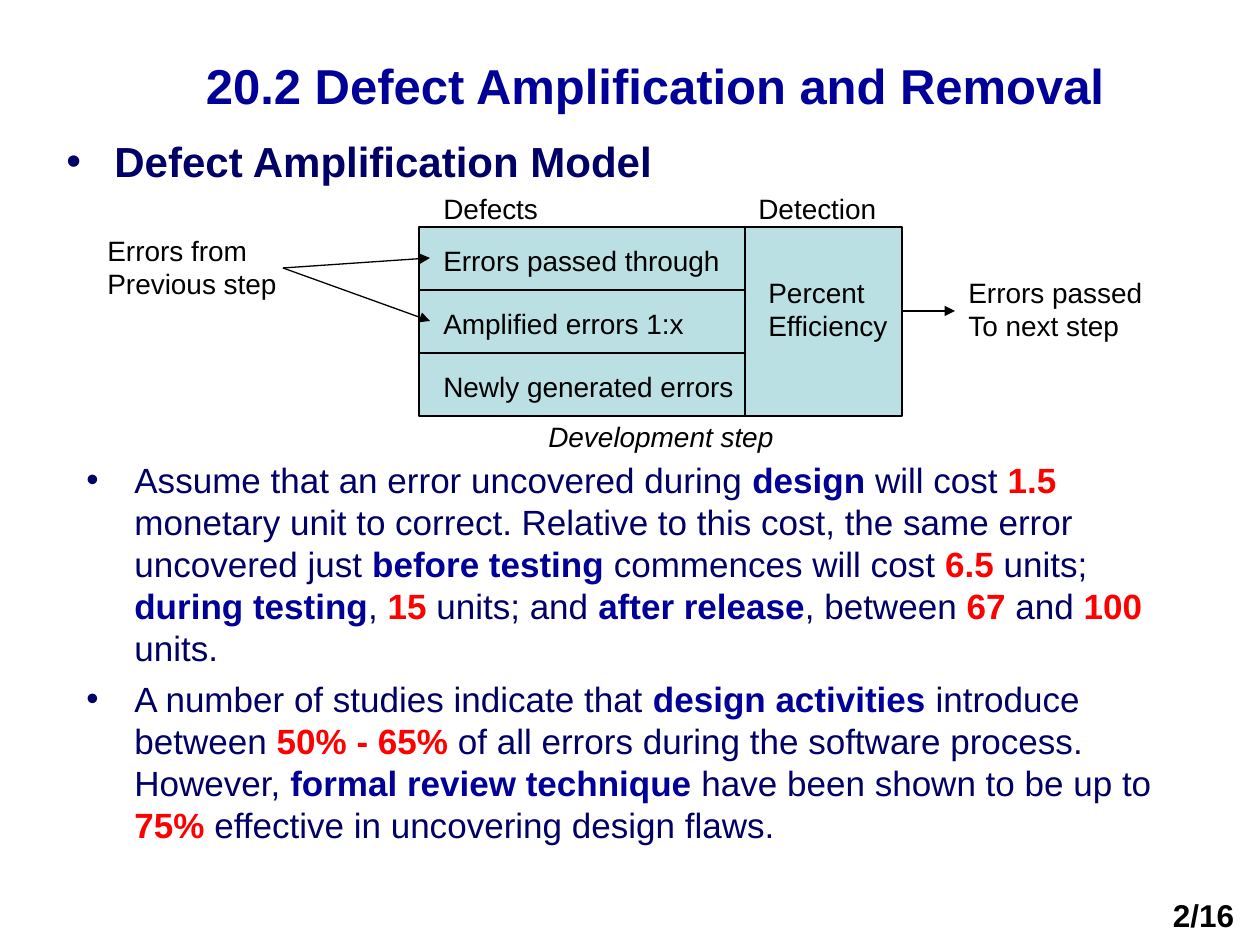
from lxml import etree
from pptx import Presentation
from pptx.dml.color import RGBColor
from pptx.enum.shapes import MSO_CONNECTOR, MSO_SHAPE
from pptx.enum.text import MSO_ANCHOR, MSO_AUTO_SIZE, PP_ALIGN
from pptx.oxml.ns import qn
from pptx.util import Emu, Pt

RECTANGLE = MSO_SHAPE.RECTANGLE
STRAIGHT = MSO_CONNECTOR.STRAIGHT
LEFT, CENTER = PP_ALIGN.LEFT, PP_ALIGN.CENTER
TOP, MIDDLE = MSO_ANCHOR.TOP, MSO_ANCHOR.MIDDLE
FIT_SHAPE, FIXED = MSO_AUTO_SIZE.SHAPE_TO_FIT_TEXT, MSO_AUTO_SIZE.NONE
TITLE_ONLY = 5
SCALE = 914400 / 126
BLACK, NAVY, BLUE, RED, AQUA = "000000", "000066", "000099", "FF0000", "BBE0E3"


def px(length):
    return Emu(round(length * SCALE))


def color(value):
    return RGBColor.from_string(value)


def key(text):
    return text, BLUE, True


def figure(text):
    return text, RED, True


def add_bullet(para, ink):
    properties = para._p.get_or_add_pPr()
    properties.set("marL", str(px(48)))
    properties.set("indent", str(px(-48)))
    bullet_color = etree.SubElement(properties, qn("a:buClr"))
    etree.SubElement(bullet_color, qn("a:srgbClr"), val=ink)
    etree.SubElement(properties, qn("a:buFont"), typeface="Arial")
    etree.SubElement(properties, qn("a:buChar"), char="•")


def write(frame, paragraphs, size=16, ink=BLACK, bold=False, italic=False,
          align=LEFT, bullet=False, before=0, spacing=None):
    for index, spans in enumerate(paragraphs):
        para = frame.add_paragraph() if index else frame.paragraphs[0]
        para.alignment = align
        para.space_before = Pt(before)
        if spacing:
            para.line_spacing = spacing
        if bullet:
            add_bullet(para, ink)
        for part in [spans] if isinstance(spans, str) else spans:
            text, span_ink, span_bold = (part, ink, bold) if isinstance(part, str) else part
            span = para.add_run()
            span.text = text
            span.font.name = "Arial"
            span.font.size = Pt(size)
            span.font.bold = span_bold
            span.font.italic = italic
            span.font.color.rgb = color(span_ink)


class Page:
    line_width = Pt(0.75)
    line_color = BLACK

    def __init__(self, deck):
        self.slide = deck.slides.add_slide(deck.slide_layouts[TITLE_ONLY])
        self.shapes = self.slide.shapes

    def title(self, text, left, top, width, height, **style):
        box = self.shapes.title
        box.left, box.top, box.width, box.height = map(px, (left, top, width, height))
        box.text_frame.vertical_anchor = MIDDLE
        write(box.text_frame, [text], **style)

    def text(self, paragraphs, left, top, width, height, wrap=False, **style):
        box = self.shapes.add_textbox(*map(px, (left, top, width, height)))
        box.text_frame.word_wrap = wrap
        box.text_frame.auto_size = FIXED if wrap else FIT_SHAPE
        box.text_frame.vertical_anchor = TOP
        write(box.text_frame, paragraphs, **style)

    def rectangle(self, left, top, width, height, fill):
        box = self.shapes.add_shape(RECTANGLE, *map(px, (left, top, width, height)))
        box.shadow.inherit = False
        box.fill.solid()
        box.fill.fore_color.rgb = color(fill)
        box.line.color.rgb = color(self.line_color)
        box.line.width = self.line_width

    def line(self, start, end, arrow=False):
        connector = self.shapes.add_connector(STRAIGHT, *map(px, (*start, *end)))
        connector.line.color.rgb = color(self.line_color)
        connector.line.width = self.line_width
        etree.SubElement(connector._element.spPr, qn("a:effectLst"))
        if arrow:
            outline = connector.line._get_or_add_ln()
            etree.SubElement(outline, qn("a:tailEnd"), type="triangle")


def draw_model(page):
    left, top, width, row = 419, 227, 483, 63
    right, divider, bottom = left + width, 745, top + 3 * row
    page.rectangle(left, top, width, 3 * row, AQUA)
    rows = [("Errors passed through", 302), ("Amplified errors 1:x", 266),
            ("Newly generated errors", 316)]
    for index, (label, label_width) in enumerate(rows):
        y = top + index * row
        if index:
            page.line((left, y), (divider, y))
        page.text([label], 431, y + 10, label_width, 47)
    page.line((divider, top), (divider, bottom))

    page.text(["Defects"], 431, 185, 120, 47)
    page.text(["Detection"], 746, 185, 143, 47)
    page.text(["Development step"], 536, 413, 250, 47, italic=True)
    page.text(["Errors from", "Previous step"], 95, 227, 194, 81)
    page.text(["Percent", "Efficiency"], 756, 269, 145, 81)
    page.text(["Errors passed", "To next step"], 956, 269, 207, 81)

    source = (283, 268)
    for y in (258, 321):
        page.line(source, (430, y), arrow=True)
    page.line((right, 311), (955, 311), arrow=True)


def main():
    deck = Presentation()
    deck.slide_width, deck.slide_height = px(1260), px(945)
    page = Page(deck)
    page.title("20.2 Defect Amplification and Removal", 113, 26, 1084, 117,
               size=28, ink=BLUE, bold=True, align=CENTER)
    page.text(["Defect Amplification Model"], 54, 135, 955, 136, wrap=True, size=24,
              ink=NAVY, bold=True, bullet=True, before=6, spacing=0.9)
    draw_model(page)
    findings = [
        ["Assume that an error uncovered during ", key("design"), " will cost ",
         figure("1.5"), " monetary unit to correct. Relative to this cost, "
         "the same error uncovered just ", key("before testing"),
         " commences will cost ", figure("6.5"), " units; ", key("during testing"),
         ", ", figure("15"), " units; and ", key("after release"), ", between ",
         figure("67"), " and ", figure("100"), " units."],
        ["A number of studies indicate that ", key("design activities"),
         " introduce between ", figure("50% - 65%"),
         " of all errors during the software process. However, ",
         key("formal review technique"), " have been shown to be up to ",
         figure("75%"), " effective in uncovering design flaws."],
    ]
    page.text(findings, 74, 452, 1131, 437, wrap=True, size=20, ink=NAVY,
              bullet=True, before=5)
    page.text(["2/16"], 1147, 890, 113, 55, wrap=True, size=18, bold=True, align=CENTER)
    deck.save("out.pptx")


if __name__ == "__main__":
    main()
